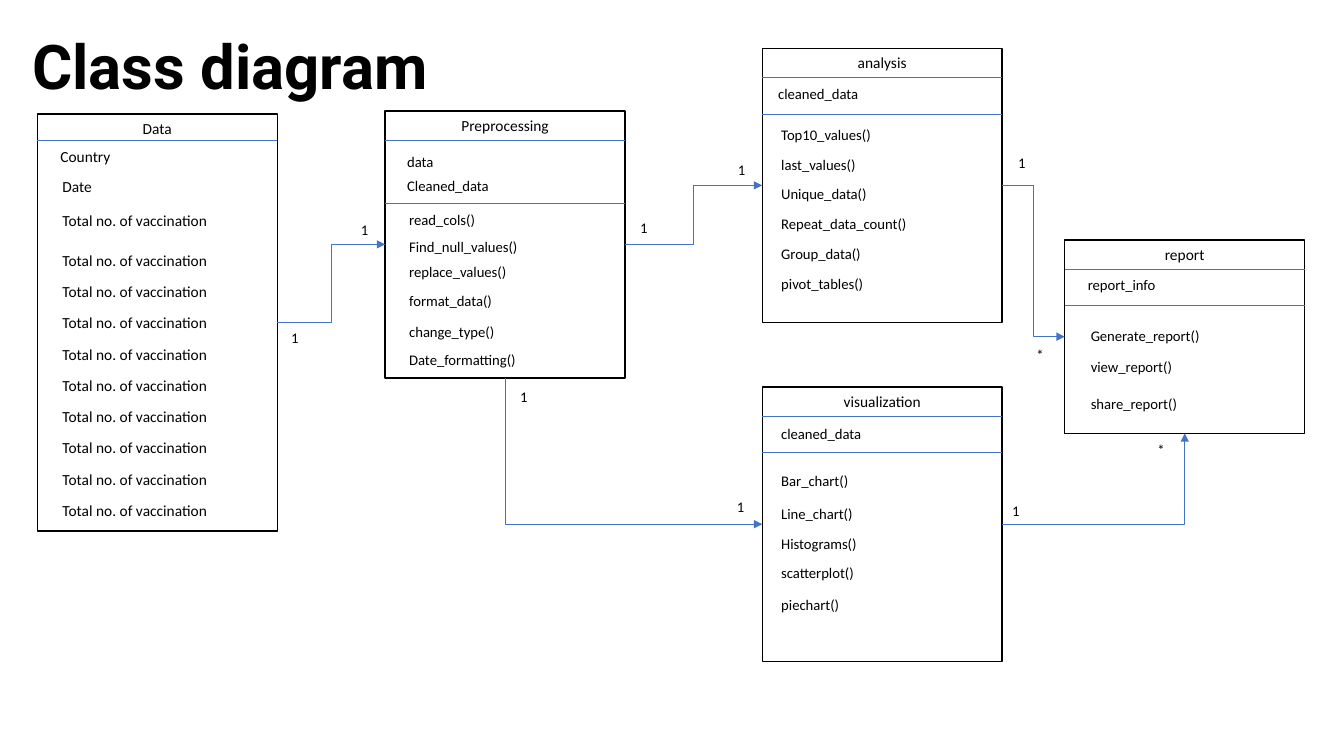
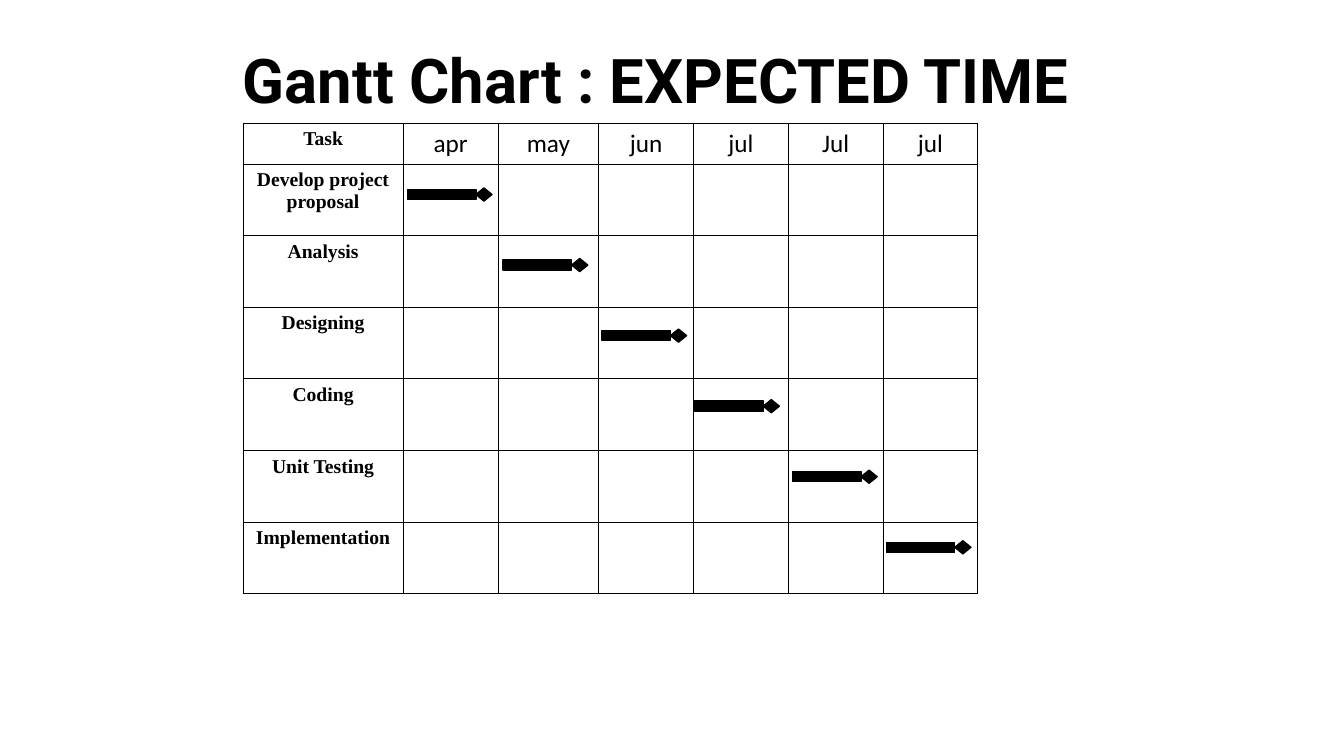
from dataclasses import dataclass

from lxml import etree
from pptx import Presentation
from pptx.dml.color import RGBColor
from pptx.enum.shapes import MSO_CONNECTOR, MSO_SHAPE
from pptx.enum.text import MSO_ANCHOR, MSO_AUTO_SIZE, PP_ALIGN
from pptx.oxml.ns import qn
from pptx.util import Inches, Pt

INK = RGBColor(0x00, 0x00, 0x00)
PAPER = RGBColor(0xFF, 0xFF, 0xFF)
BLUE = RGBColor(0x44, 0x72, 0xC4)
HEAD, BODY, SERIF = "Roboto", "Calibri", "Times New Roman"
LEFT, CENTER = PP_ALIGN.LEFT, PP_ALIGN.CENTER
TOP, MIDDLE = MSO_ANCHOR.TOP, MSO_ANCHOR.MIDDLE
RECT, DIAMOND = MSO_SHAPE.RECTANGLE, MSO_SHAPE.DIAMOND
STRAIGHT, ELBOW = MSO_CONNECTOR.STRAIGHT, MSO_CONNECTOR.ELBOW
GROW = MSO_AUTO_SIZE.SHAPE_TO_FIT_TEXT
TITLE_ONLY = 5
SIDE_TOP, SIDE_LEFT, SIDE_BOTTOM, SIDE_RIGHT = range(4)

BOX_W = 2.38
NAME_W = 1.48
ITEM_W = 1.68
ITEM_H = 0.28


@dataclass(frozen=True)
class Item:
    text: str
    left: float
    top: float


@dataclass(frozen=True)
class Box:
    name: str
    left: float
    top: float
    height: float
    rules: tuple[float, ...]
    items: tuple[Item, ...]
    size: float = 10.5


@dataclass(frozen=True)
class Link:
    start: str
    out: int
    end: str
    into: int


def stack(left: float, *rows: tuple[str, float]) -> tuple[Item, ...]:
    return tuple(Item(text, left, top) for text, top in rows)


TOTAL = "Total no. of vaccination"
BOXES = (
    Box("Data", 0.37, 1.13, 4.14, (1.39,),
        (Item("Country", 0.5, 1.41),)
        + stack(0.52, ("Date", 1.71), (TOTAL, 2.04))
        + stack(0.52, *((TOTAL, 2.44 + 0.31 * i) for i in range(9))),
        size=11),
    Box("Preprocessing", 3.82, 1.1, 2.65, (1.39, 2.02),
        stack(3.94, ("data", 1.47), ("Cleaned_data", 1.71))
        + stack(3.96, ("read_cols()", 2.04), ("Find_null_values()", 2.31),
                ("replace_values()", 2.56), ("format_data()", 2.85),
                ("change_type()", 3.15), ("Date_formatting()", 3.43))),
    Box("analysis", 7.56, 0.48, 2.72, (0.77, 1.13),
        (Item("cleaned_data", 7.62, 0.79),)
        + stack(7.65, ("Top10_values()", 1.2), ("last_values()", 1.5),
                ("Unique_data()", 1.78), ("Repeat_data_count()", 2.08),
                ("Group_data()", 2.38), ("pivot_tables()", 2.68))),
    Box("visualization", 7.56, 3.84, 2.72, (4.13, 4.49),
        stack(7.65, ("cleaned_data", 4.17), ("Bar_chart()", 4.63),
              ("Line_chart()", 4.96), ("Histograms()", 5.26),
              ("scatterplot()", 5.54), ("piechart()", 5.86))),
    Box("report", 10.56, 2.38, 1.92, (2.67, 3.03),
        (Item("report_info", 10.69, 2.69),)
        + stack(10.72, ("Generate_report()", 3.19), ("view_report()", 3.5),
                ("share_report()", 3.87))),
)
LINKS = (
    Link("Data", SIDE_RIGHT, "Preprocessing", SIDE_LEFT),
    Link("Preprocessing", SIDE_RIGHT, "analysis", SIDE_LEFT),
    Link("Preprocessing", SIDE_BOTTOM, "visualization", SIDE_LEFT),
    Link("analysis", SIDE_RIGHT, "report", SIDE_LEFT),
    Link("visualization", SIDE_RIGHT, "report", SIDE_BOTTOM),
)
COUNTS = (
    Item("1", 2.79, 3.21), Item("1", 3.48, 2.14), Item("1", 7.22, 1.55),
    Item("1", 9.94, 4.93), Item("1", 6.25, 2.12), Item("1", 7.21, 4.89),
    Item("1", 5.06, 3.8), Item("1", 10, 1.48), Item("*", 11.38, 4.32),
    Item("*", 10.18, 3.38),
)

MONTHS = ("apr", "may", "jun", "jul", "Jul", "jul")
TASKS = ("Develop project proposal", "Analysis", "Designing", "Coding",
         "Unit Testing", "Implementation")
COLS = (1.59, 0.94, 1, 0.94, 0.94, 0.94, 0.94)
HEAD_H, ROW_H = 0.41, 0.71
STARTS = (4.04, 4.99, 5.97, 6.89, 7.86, 8.79)
BAR_TOP, BAR_STEP = 1.88, 0.7
BAR_W, BAR_H = 0.68, 0.1
TIP_W, TIP_H = 0.16, 0.13


def write(frame, text: str, *, size: float, font: str = BODY,
          bold: bool = False, align=LEFT) -> None:
    para = frame.paragraphs[0]
    para.alignment = align
    run = para.add_run()
    run.text = text
    run.font.size = Pt(size)
    run.font.name = font
    run.font.bold = bold
    run.font.color.rgb = INK


def title(slide, text: str, left: float, top: float, width: float,
          anchor) -> None:
    head = slide.shapes.title
    head.left, head.top = Inches(left), Inches(top)
    head.width, head.height = Inches(width), Inches(0.84)
    frame = head.text_frame
    frame.word_wrap = True
    frame.auto_size = GROW
    frame.vertical_anchor = anchor
    write(frame, text, size=44, font=HEAD, bold=True)


def label(slide, text: str, left: float, top: float, width: float,
          **style) -> None:
    box = slide.shapes.add_textbox(Inches(left), Inches(top), Inches(width),
                                   Inches(ITEM_H))
    box.text_frame.word_wrap = True
    box.text_frame.auto_size = GROW
    write(box.text_frame, text, **style)


def block(slide, kind, left: float, top: float, width: float, height: float,
          fill: RGBColor):
    shape = slide.shapes.add_shape(kind, Inches(left), Inches(top),
                                   Inches(width), Inches(height))
    shape.shadow.inherit = False
    shape.fill.solid()
    shape.fill.fore_color.rgb = fill
    shape.line.color.rgb = INK
    shape.line.width = Pt(1)
    return shape


def wire(slide, kind, x1: float = 0, y1: float = 0, x2: float = 0,
         y2: float = 0):
    line = slide.shapes.add_connector(kind, Inches(x1), Inches(y1),
                                      Inches(x2), Inches(y2))
    line.line.color.rgb = BLUE
    line.line.width = Pt(0.5)
    etree.SubElement(line._element.spPr, qn("a:effectLst"))
    return line


def draw_box(slide, box: Box):
    shape = block(slide, RECT, box.left, box.top, BOX_W, box.height, PAPER)
    for y in box.rules:
        wire(slide, STRAIGHT, box.left, y, box.left + BOX_W, y)
    label(slide, box.name, box.left + (BOX_W - NAME_W) / 2, box.top, NAME_W,
          size=11, align=CENTER)
    for item in box.items:
        label(slide, item.text, item.left, item.top, ITEM_W, size=box.size)
    return shape


def turn(line) -> None:
    """Make an elbow that runs down first and then to the right."""
    shift = (line.width - line.height) // 2
    line.left, line.top = line.left + shift, line.top - shift
    line.width, line.height = line.height, line.width
    frame = line._element.spPr.find(qn("a:xfrm"))
    frame.set("rot", "16200000")
    frame.set("flipH", "1")


def draw_link(slide, link: Link, shapes: dict) -> None:
    line = wire(slide, ELBOW)
    line.begin_connect(shapes[link.start], link.out)
    line.end_connect(shapes[link.end], link.into)
    props = line._element.spPr
    etree.SubElement(props.find(qn("a:ln")), qn("a:tailEnd"), type="triangle")
    if SIDE_BOTTOM in (link.out, link.into):
        props.find(qn("a:prstGeom")).set("prst", "bentConnector2")
    if link.out == SIDE_BOTTOM:
        turn(line)


def frame_cell(cell) -> None:
    """Clear the fill, set the margins and rule all four sides."""
    cell.fill.background()
    cell.margin_left = cell.margin_right = Inches(0.03)
    cell.margin_top = cell.margin_bottom = Inches(0.05)
    props = cell._tc.get_or_add_tcPr()
    for i, side in enumerate(("a:lnL", "a:lnR", "a:lnT", "a:lnB")):
        edge = etree.Element(qn(side), w=str(Pt(0.75)))
        fill = etree.SubElement(edge, qn("a:solidFill"))
        etree.SubElement(fill, qn("a:srgbClr"), val=str(INK))
        props.insert(i, edge)


def draw_grid(slide) -> None:
    rows = len(TASKS) + 1
    grid = slide.shapes.add_table(
        rows, len(COLS), Inches(2.41), Inches(1.22), Inches(sum(COLS)),
        Inches(HEAD_H + ROW_H * len(TASKS))).table
    grid.first_row = grid.horz_banding = False
    for col, width in zip(grid.columns, COLS):
        col.width = Inches(width)
    for i, row in enumerate(grid.rows):
        row.height = Inches(ROW_H if i else HEAD_H)
    for cell in grid.iter_cells():
        frame_cell(cell)
    for i, text in enumerate(("Task",) + TASKS):
        write(grid.cell(i, 0).text_frame, text, size=14, font=SERIF,
              bold=True, align=CENTER)
    for i, text in enumerate(MONTHS, 1):
        write(grid.cell(0, i).text_frame, text, size=18, align=CENTER)


def class_slide(deck) -> None:
    slide = deck.slides.add_slide(deck.slide_layouts[TITLE_ONLY])
    title(slide, "Class diagram", 0.22, 0.23, 4.97, TOP)
    shapes = {box.name: draw_box(slide, box) for box in BOXES}
    for link in LINKS:
        draw_link(slide, link, shapes)
    for count in COUNTS:
        label(slide, count.text, count.left, count.top, 0.34, size=10.5)


def gantt_slide(deck) -> None:
    slide = deck.slides.add_slide(deck.slide_layouts[TITLE_ONLY])
    title(slide, "Gantt Chart : EXPECTED TIME", 2.31, 0.36, 9.5, MIDDLE)
    draw_grid(slide)
    for i, left in enumerate(STARTS):
        top = BAR_TOP + BAR_STEP * i
        block(slide, RECT, left, top, BAR_W, BAR_H, INK)
        block(slide, DIAMOND, left + BAR_W, top - (TIP_H - BAR_H) / 2,
              TIP_W, TIP_H, INK)


def main() -> None:
    deck = Presentation()
    deck.slide_width, deck.slide_height = Inches(13.33), Inches(7.5)
    class_slide(deck)
    gantt_slide(deck)
    deck.save("out.pptx")


if __name__ == "__main__":
    main()
